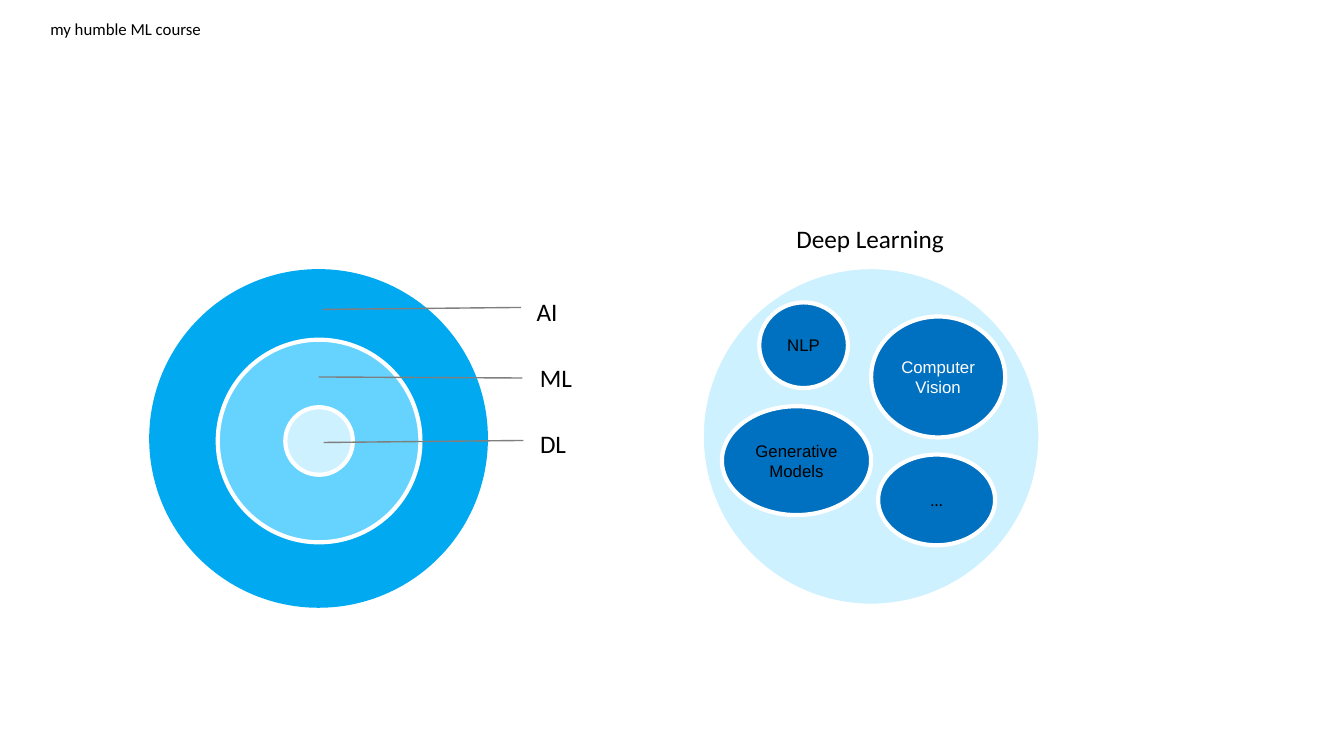
from pptx import Presentation
from pptx.dml.color import RGBColor
from pptx.enum.shapes import MSO_CONNECTOR, MSO_SHAPE
from pptx.enum.text import MSO_ANCHOR, MSO_AUTO_SIZE, PP_ALIGN
from pptx.oxml.ns import qn
from pptx.util import Emu, Pt
from lxml.etree import SubElement

PX = 9144  # EMU per px, 100 px to the inch
COLORS = {
    "black": "000000", "white": "FFFFFF", "gray": "7F7F7F",
    "ai": "01A9F0", "ml": "66D3FE", "dl": "CDF1FF", "field": "0070C0",
}


def px(*lengths):
    return [Emu(n * PX) for n in lengths]


def rgb(name):
    return RGBColor.from_string(COLORS[name])


class SlideBuilder:
    def __init__(self, slide, font="Calibri"):
        self.shapes = slide.shapes
        self.font = font

    def set_text(self, tf, text, size, color="black", font=None, align=PP_ALIGN.CENTER):
        tf.word_wrap = True
        tf.text = text
        p = tf.paragraphs[0]
        p.alignment = align
        r = p.runs[0]
        r.font.size = Pt(size)
        r.font.name = font or self.font
        r.font.color.rgb = rgb(color)

    def header(self, text, box):
        tf = self.shapes.add_textbox(*px(*box)).text_frame
        tf.vertical_anchor = MSO_ANCHOR.MIDDLE
        self.set_text(tf, text, 12, align=PP_ALIGN.LEFT)

    def label(self, text, box):
        tf = self.shapes.add_textbox(*px(*box)).text_frame
        self.set_text(tf, text, 18)
        tf.auto_size = MSO_AUTO_SIZE.SHAPE_TO_FIT_TEXT

    def ellipse(self, box, fill, outlined=True):
        sp = self.shapes.add_shape(MSO_SHAPE.OVAL, *px(*box))
        sp.shadow.inherit = False
        sp.fill.solid()
        sp.fill.fore_color.rgb = rgb(fill)
        if outlined:
            sp.line.color.rgb = rgb("white")
            sp.line.width = Pt(3)
        else:
            sp.line.fill.background()
        return sp

    def circle(self, cx, cy, d, fill, outlined=True):
        self.ellipse((cx - d // 2, cy - d // 2, d, d), fill, outlined)

    def field(self, text, box, color="black", font="Arial"):
        """Ellipse naming one branch of deep learning."""
        tf = self.ellipse(box, "field").text_frame
        tf.vertical_anchor = MSO_ANCHOR.MIDDLE
        tf.margin_left, tf.margin_top, tf.margin_right, tf.margin_bottom = px(10, 10, 10, 10)
        self.set_text(tf, text, 12, color, font)

    def leader(self, *ends):
        line = self.shapes.add_connector(MSO_CONNECTOR.STRAIGHT, *px(*ends))
        line.line.color.rgb = rgb("gray")
        line.line.width = Pt(1)
        SubElement(line._element.spPr, qn("a:effectLst"))


def main():
    prs = Presentation()
    prs.slide_width, prs.slide_height = px(1333, 750)
    s = SlideBuilder(prs.slides.add_slide(prs.slide_layouts[6]))

    s.header("my humble ML course", (40, 15, 589, 27))

    s.circle(316, 435, 336, "ai", outlined=False)
    s.circle(316, 437, 201, "ml")
    s.circle(316, 437, 67, "dl")

    levels = [
        ("AI", (517, 289, 51, 34), (517, 305, 320, 307)),
        ("ML", (518, 355, 67, 40), (518, 375, 316, 374)),
        ("DL", (519, 420, 59, 34), (519, 437, 321, 439)),
    ]
    for text, box, ends in levels:
        s.label(text, box)
        s.leader(*ends)

    s.label("Deep Learning", (769, 217, 188, 34))
    s.circle(864, 433, 336, "dl")
    s.field("Computer Vision", (864, 314, 133, 120), color="white")
    s.field("NLP", (753, 300, 88, 85))
    s.field("Generative Models", (716, 403, 148, 108))
    s.field("…", (871, 451, 116, 90), font="Calibri")

    prs.save("out.pptx")


if __name__ == "__main__":
    main()
